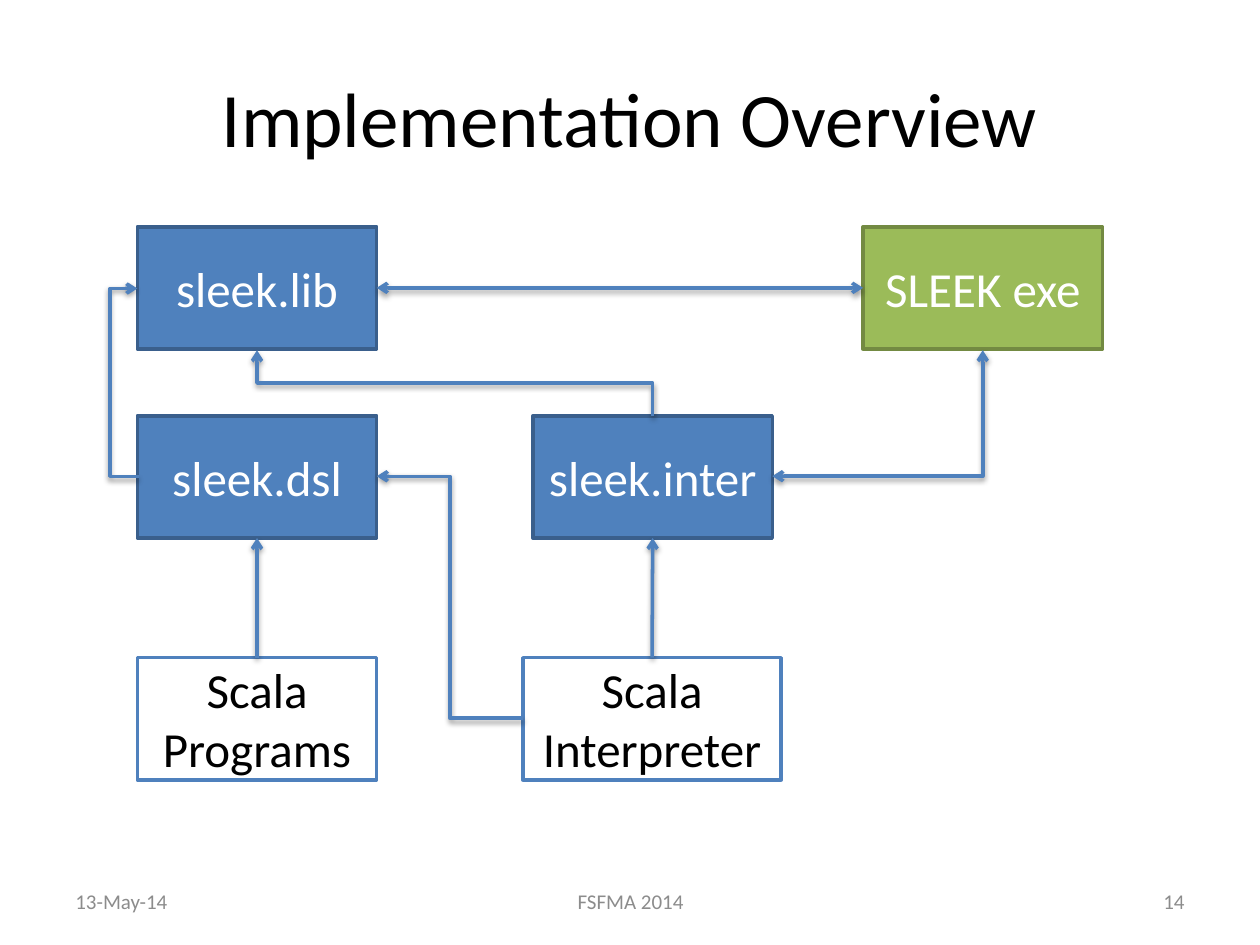
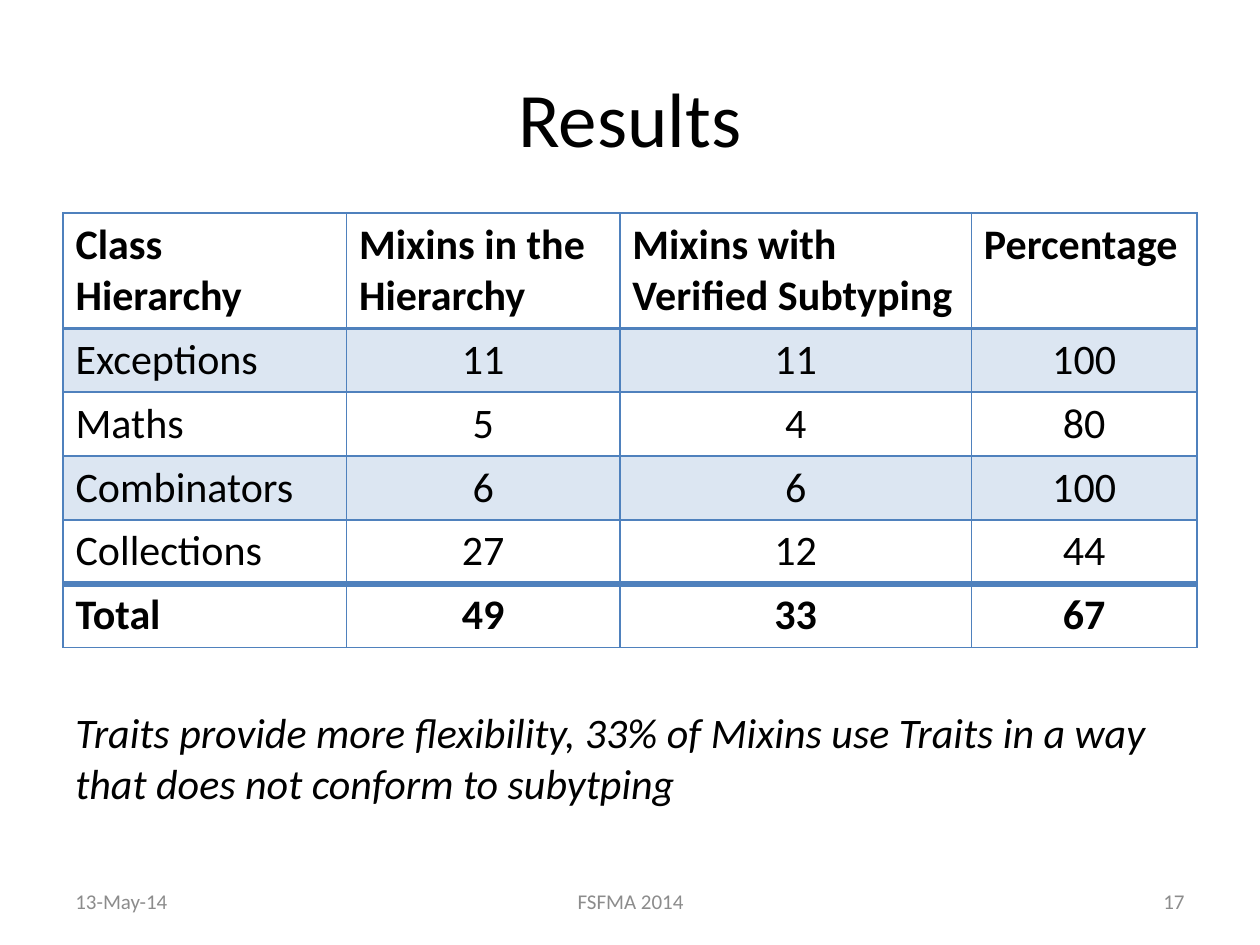
from dataclasses import dataclass
from typing import Optional

from lxml.etree import SubElement
from pptx import Presentation
from pptx.dml.color import RGBColor
from pptx.enum.shapes import MSO_CONNECTOR as Connector, MSO_SHAPE as Shape
from pptx.enum.text import MSO_ANCHOR as Anchor, PP_ALIGN as Align
from pptx.oxml import parse_xml
from pptx.oxml.ns import nsdecls, qn
from pptx.util import Inches, Pt

# Shared style
FONT = "Calibri"
BLACK = RGBColor(0x00, 0x00, 0x00)
WHITE = RGBColor(0xFF, 0xFF, 0xFF)
GRAY = RGBColor(0x8C, 0x8C, 0x8C)
BLUE = RGBColor(0x4F, 0x81, 0xBD)
DARK_BLUE = RGBColor(0x3A, 0x5F, 0x8C)
PALE_BLUE = RGBColor(0xDC, 0xE6, 0xF2)
GREEN = RGBColor(0x9B, 0xBB, 0x59)
DARK_GREEN = RGBColor(0x73, 0x8A, 0x42)
TOP, LEFT, BOTTOM, RIGHT = range(4)


@dataclass(frozen=True)
class Module:
    label: str
    left: float
    top: float
    fill: RGBColor = BLUE
    line: RGBColor = DARK_BLUE
    color: RGBColor = WHITE
    width: float = 1.9
    height: float = 0.97


@dataclass(frozen=True)
class Bend:
    """Frame and orientation of an elbow connector."""
    left: float
    top: float
    width: float
    height: float
    rotation: int = 0
    flip: bool = False
    preset: str = "bentConnector3"
    adjust: Optional[float] = None


@dataclass(frozen=True)
class Link:
    start: str
    start_side: int
    end: str
    end_side: int
    both_ways: bool = False
    bend: Optional[Bend] = None


@dataclass(frozen=True)
class FooterPart:
    left: float
    width: float
    align: Align


FOOTER = (FooterPart(0.5, 2.33, Align.LEFT),
          FooterPart(3.42, 3.17, Align.CENTER),
          FooterPart(7.17, 2.33, Align.RIGHT))

COLUMN, ROW_1, ROW_2, ROW_3 = 1.09, 1.8, 3.3, 5.22
MODULES = (
    Module("SLEEK exe", 6.85, ROW_1, GREEN, DARK_GREEN),
    Module("sleek.lib", COLUMN, ROW_1),
    Module("sleek.dsl", COLUMN, ROW_2),
    Module("sleek.inter", 4.23, ROW_2),
    Module("Scala Programs", COLUMN, ROW_3, WHITE, BLUE, BLACK),
    Module("Scala Interpreter", 4.15, ROW_3, WHITE, BLUE, BLACK, width=2.05),
)
LINKS = (
    Link("sleek.lib", RIGHT, "SLEEK exe", LEFT, both_ways=True),
    Link("sleek.inter", RIGHT, "SLEEK exe", BOTTOM, both_ways=True,
         bend=Bend(6.13, 2.78, 1.67, 1, flip=True, preset="bentConnector2")),
    Link("sleek.dsl", LEFT, "sleek.lib", LEFT,
         bend=Bend(1.09, 2.29, 0.01, 1.49, rotation=180, adjust=23)),
    Link("sleek.inter", TOP, "sleek.lib", BOTTOM,
         bend=Bend(3.35, 1.47, 0.52, 3.14, rotation=270, flip=True)),
    Link("Scala Programs", TOP, "sleek.dsl", BOTTOM),
    Link("Scala Interpreter", TOP, "sleek.inter", BOTTOM),
    Link("Scala Interpreter", LEFT, "sleek.dsl", RIGHT,
         bend=Bend(2.99, 3.78, 1.16, 1.92, rotation=180)),
)

COLUMN_WIDTHS = (2.25, 2.17, 2.79, 1.79)
RESULTS = (
    ("Class Hierarchy", "Mixins in the Hierarchy",
     "Mixins with Verified Subtyping", "Percentage"),
    ("Exceptions", "11", "11", "100"),
    ("Maths", "5", "4", "80"),
    ("Combinators", "6", "6", "100"),
    ("Collections", "27", "12", "44"),
    ("Total", "49", "33", "67"),
)


def write(frame, text: str, *, size: float, color: RGBColor = BLACK,
          align: Align = Align.LEFT, bold: bool = False, italic: bool = False) -> None:
    para = frame.paragraphs[0]
    para.alignment = align
    span = para.add_run()
    span.text = text
    font = span.font
    font.name, font.size, font.bold, font.italic = FONT, Pt(size), bold, italic
    font.color.rgb = color


def add_text(page, left: float, top: float, width: float, height: float,
             text: str, anchor: Anchor = Anchor.TOP, **style) -> None:
    box = page.shapes.add_textbox(Inches(left), Inches(top), Inches(width), Inches(height))
    box.text_frame.word_wrap = True
    box.text_frame.vertical_anchor = anchor
    write(box.text_frame, text, **style)


def add_page(deck, title: str, number: int):
    page = deck.slides.add_slide(deck.slide_layouts[5])
    heading = page.shapes.title
    heading.left, heading.top = Inches(0.5), Inches(0.3)
    heading.width, heading.height = Inches(9), Inches(1.25)
    heading.text_frame.vertical_anchor = Anchor.MIDDLE
    write(heading.text_frame, title, size=44, align=Align.CENTER)
    return page


def add_footer(page, number: int) -> None:
    for part, text in zip(FOOTER, ("13-May-14", "FSFMA 2014", str(number))):
        add_text(page, part.left, 6.95, part.width, 0.4, text, Anchor.MIDDLE,
                 size=12, color=GRAY, align=part.align)


def add_module(page, module: Module):
    box = page.shapes.add_shape(Shape.RECTANGLE, Inches(module.left), Inches(module.top),
                                Inches(module.width), Inches(module.height))
    box.shadow.inherit = False
    box.fill.solid()
    box.fill.fore_color.rgb = module.fill
    box.line.color.rgb = module.line
    box.line.width = Pt(2)
    box.text_frame.vertical_anchor = Anchor.MIDDLE
    write(box.text_frame, module.label, size=28, color=module.color, align=Align.CENTER)
    return box


def shape_bend(connector, bend: Bend) -> None:
    connector.left, connector.top = Inches(bend.left), Inches(bend.top)
    connector.width, connector.height = Inches(bend.width), Inches(bend.height)
    properties = connector.element.spPr
    transform = properties.find(qn("a:xfrm"))
    for name in ("flipH", "flipV", "rot"):
        transform.attrib.pop(name, None)
    if bend.rotation:
        transform.set("rot", str(bend.rotation * 60000))
    if bend.flip:
        transform.set("flipV", "1")
    geometry = properties.find(qn("a:prstGeom"))
    geometry.set("prst", bend.preset)
    if bend.adjust is not None:
        SubElement(geometry.find(qn("a:avLst")), qn("a:gd"),
                   name="adj1", fmla=f"val {round(bend.adjust * 100000)}")


def add_link(page, link: Link, boxes: dict) -> None:
    kind = Connector.ELBOW if link.bend else Connector.STRAIGHT
    connector = page.shapes.add_connector(kind, 0, 0, 0, 0)
    connector.begin_connect(boxes[link.start], link.start_side)
    connector.end_connect(boxes[link.end], link.end_side)
    if link.bend:
        shape_bend(connector, link.bend)
    connector.line.color.rgb = BLUE
    connector.line.width = Pt(2)
    # Arrowheads and soft shadow
    properties = connector.element.spPr
    line = properties.find(qn("a:ln"))
    if link.both_ways:
        SubElement(line, qn("a:headEnd"), type="arrow")
    SubElement(line, qn("a:tailEnd"), type="arrow")
    properties.append(parse_xml(
        f'<a:effectLst {nsdecls("a")}><a:outerShdw blurRad="{Pt(3.1)}" dist="{Pt(1.6)}" '
        'dir="5400000" rotWithShape="0"><a:srgbClr val="000000"><a:alpha val="38000"/>'
        '</a:srgbClr></a:outerShdw></a:effectLst>'))


def set_borders(cell, top: float, bottom: float) -> None:
    properties = cell._tc.get_or_add_tcPr()
    sides = (("lnL", 1), ("lnR", 1), ("lnT", top), ("lnB", bottom))
    for position, (side, width) in enumerate(sides):
        properties.insert(position, parse_xml(
            f'<a:{side} {nsdecls("a")} w="{Pt(width)}"><a:solidFill>'
            f'<a:srgbClr val="{BLUE}"/></a:solidFill></a:{side}>'))


def add_results(page) -> None:
    last = len(RESULTS) - 1
    table = page.shapes.add_table(len(RESULTS), len(COLUMN_WIDTHS), Inches(0.5),
                                  Inches(1.69), Inches(9), Inches(3.4)).table
    for column, width in zip(table.columns, COLUMN_WIDTHS):
        column.width = Inches(width)
    rules = [1, 2] + [1] * (last - 2) + [4, 1]
    for r, values in enumerate(RESULTS):
        table.rows[r].height = Inches(0.5 if r else 0.9)
        for c, value in enumerate(values):
            cell = table.cell(r, c)
            if r % 2 and r < last:
                cell.fill.solid()
                cell.fill.fore_color.rgb = PALE_BLUE
            else:
                cell.fill.background()
            set_borders(cell, rules[r], rules[r + 1])
            write(cell.text_frame, value, size=24, bold=r in (0, last),
                  align=Align.CENTER if r and c else Align.LEFT)


def main() -> None:
    deck = Presentation()
    deck.slide_width, deck.slide_height = Inches(10), Inches(7.5)

    # Implementation diagram
    page = add_page(deck, "Implementation Overview", 14)
    boxes = {module.label: add_module(page, module) for module in MODULES}
    for link in LINKS:
        add_link(page, link, boxes)
    add_footer(page, 14)

    # Results table
    page = add_page(deck, "Results", 17)
    add_results(page)
    add_text(page, 0.5, 5.56, 8.76, 0.91,
             "Traits provide more flexibility, 33% of Mixins use Traits in a way "
             "that does not conform to subytping", size=24, italic=True)
    add_footer(page, 17)

    deck.save("out.pptx")


if __name__ == "__main__":
    main()
